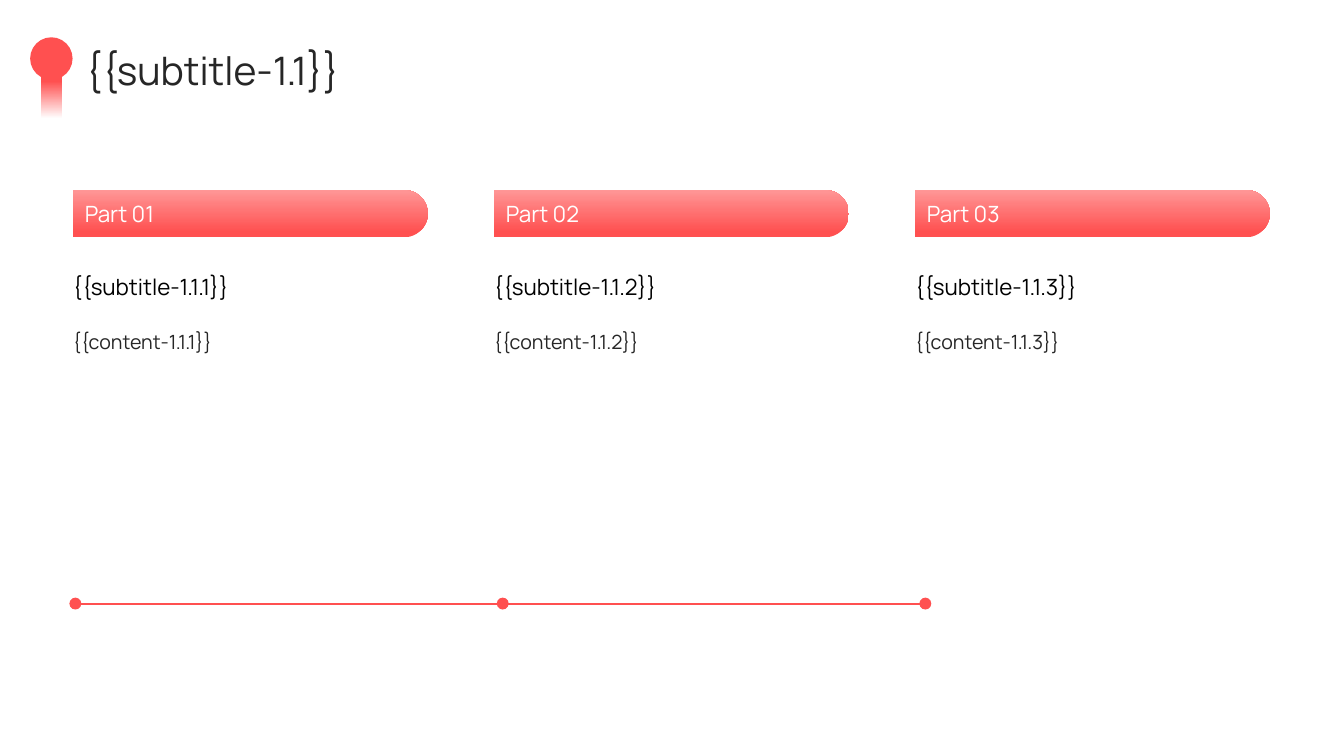
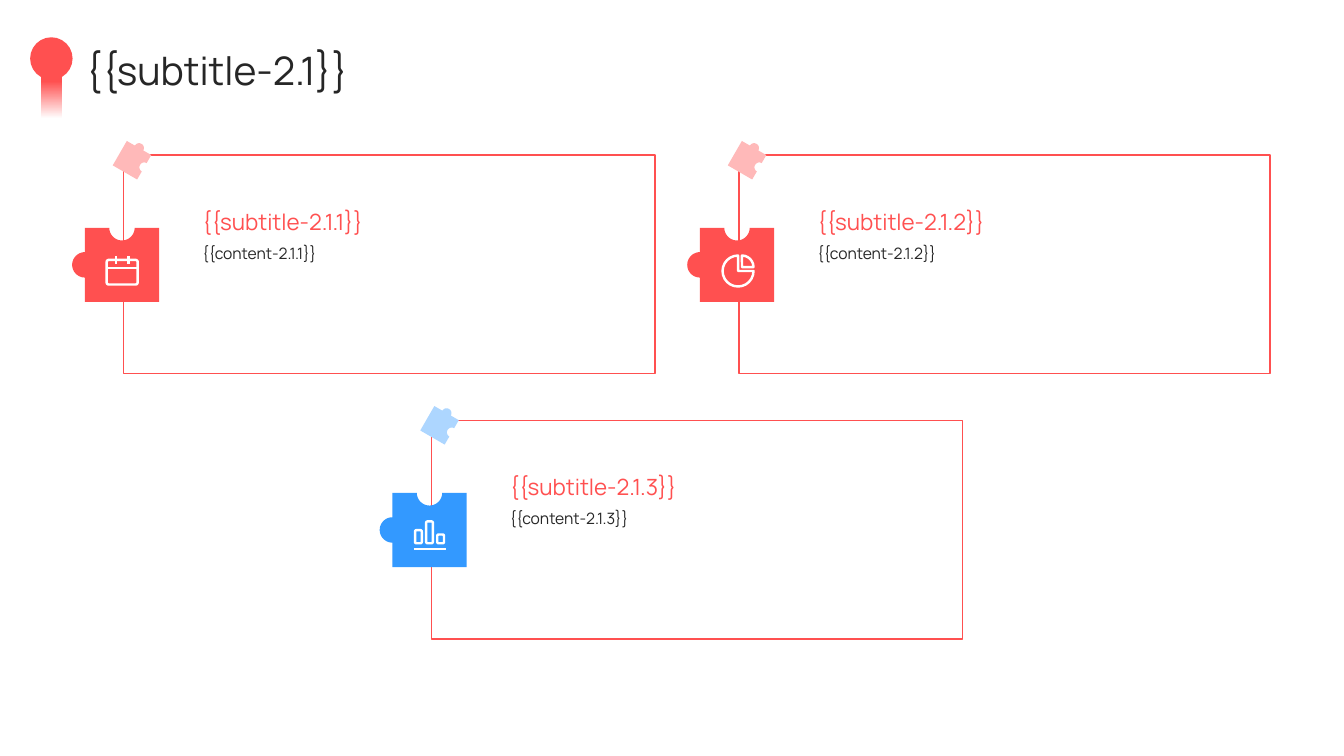
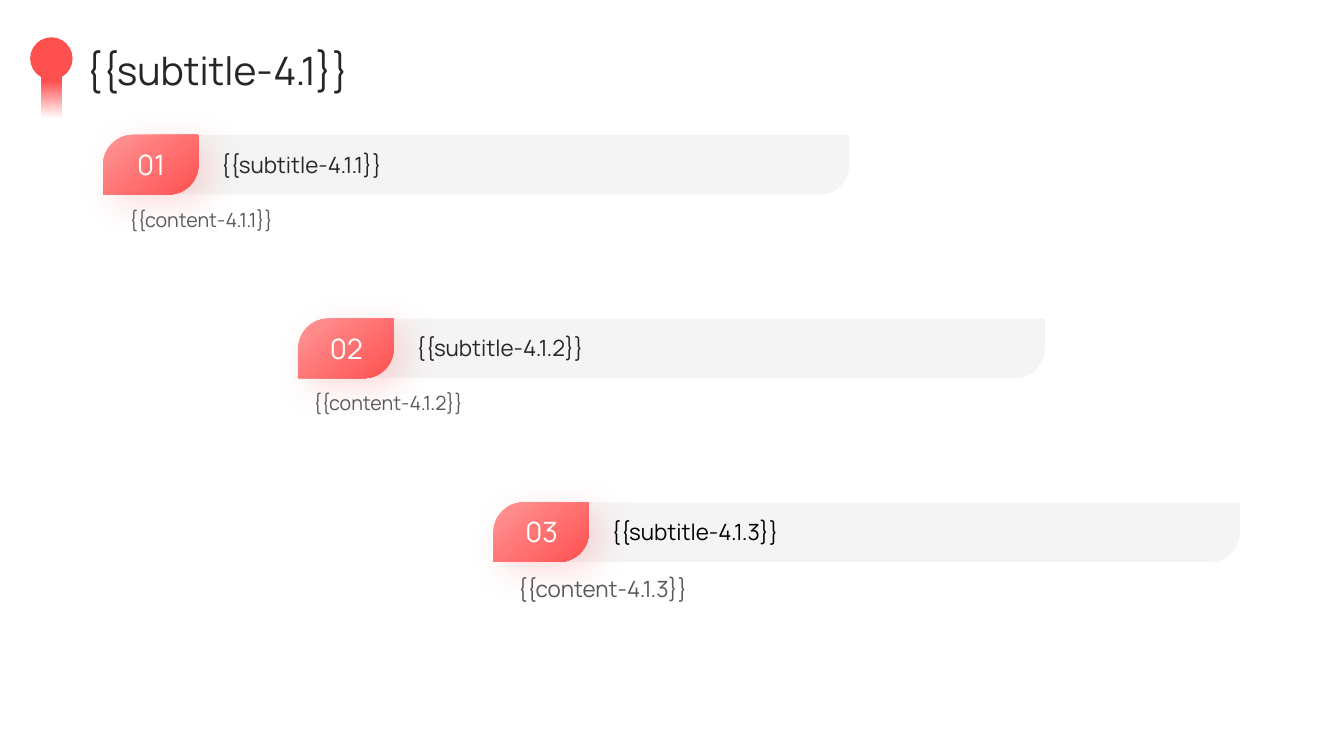
from dataclasses import dataclass
from math import cos, radians, sin

from lxml.etree import SubElement
from pptx import Presentation
from pptx.dml.color import RGBColor as RGB
from pptx.enum.shapes import MSO_CONNECTOR as LINK, MSO_SHAPE as KIND
from pptx.enum.text import MSO_ANCHOR as ANCHOR, MSO_AUTO_SIZE as FIT, PP_ALIGN as ALIGN
from pptx.oxml.ns import qn
from pptx.util import Cm, Pt


@dataclass(frozen=True)
class Theme:
    font: str = "Manrope"
    red: str = "FF5050"
    rose: str = "FF9696"
    pink: str = "FFB9B9"
    blue: str = "3399FF"
    sky: str = "ADD6FF"
    gray: str = "F2F2F2"
    white: str = "FFFFFF"
    black: str = "000000"
    dark: str = "262626"
    soft: str = "595959"
    title: float = 28
    number: float = 20
    head: float = 16
    body: float = 14
    small: float = 11.2
    stroke: float = 1.75


def put(item, **values):
    for name, value in values.items():
        setattr(item, name, value)


def arc(x, y, radius, start, end, steps=24):
    turns = [radians(start + (end - start) * i / steps) for i in range(steps + 1)]
    return [(x + radius * cos(t), y + radius * sin(t)) for t in turns]


class Deck:
    """Draws the shared style and each kind of element on the current slide."""

    def __init__(self, theme):
        self.theme = theme
        self.show = Presentation()
        put(self.show, slide_width=Cm(33.87), slide_height=Cm(19.05))

    def start(self, title):
        t = self.theme
        self.slide = self.show.slides.add_slide(self.show.slide_layouts[5])
        self.shapes = self.slide.shapes
        holder = self.shapes.title
        self.place(holder, (2.16, 1.12, 29.64, 1.3))
        self.label(holder.text_frame, title, t.title, t.dark)
        self.shape(KIND.RECTANGLE, (1.04, 1.42, 0.53, 1.57), (40, t.red, 100, t.white, 270))
        self.shape(KIND.OVAL, (0.76, 0.94, 1.07, 1.07), t.red)

    def place(self, item, box):
        put(item, **dict(zip(("left", "top", "width", "height"), map(Cm, box))))

    def label(self, frame, words, size, color, anchor=ANCHOR.MIDDLE, align=ALIGN.LEFT):
        put(frame, text=words, word_wrap=True, auto_size=FIT.NONE, vertical_anchor=anchor,
            margin_left=0, margin_right=0, margin_top=0, margin_bottom=0)
        line = frame.paragraphs[0]
        line.alignment = align
        font = line.runs[0].font
        put(font, name=self.theme.font, size=Pt(size))
        font.color.rgb = RGB.from_string(color)

    def text(self, words, box, size, color, **style):
        frame = self.shapes.add_textbox(*map(Cm, box)).text_frame
        self.label(frame, words, size, color, **style)

    def paint(self, item, fill, line=None, width=1):
        item.shadow.inherit = False
        if fill is None:
            item.fill.background()
        elif isinstance(fill, tuple):
            first, tint, last, shade, angle = fill
            item.fill.gradient()
            item.fill.gradient_angle = angle
            pairs = ((first, tint), (last, shade))
            for stop, (spot, color) in zip(item.fill.gradient_stops, pairs):
                stop.position = spot / 100
                stop.color.rgb = RGB.from_string(color)
        else:
            item.fill.solid()
            item.fill.fore_color.rgb = RGB.from_string(fill)
        if line:
            item.line.color.rgb = RGB.from_string(line)
            item.line.width = Pt(width)
        else:
            item.line.fill.background()

    def shape(self, kind, box, fill=None, line=None, width=1, turn=0, adjust=()):
        item = self.shapes.add_shape(kind, *map(Cm, box))
        for i, value in enumerate(adjust):
            item.adjustments[i] = value
        item.rotation = turn
        self.paint(item, fill, line, width)
        return item

    def link(self, x1, y1, x2, y2, color, width):
        item = self.shapes.add_connector(LINK.STRAIGHT, *map(Cm, (x1, y1, x2, y2)))
        item.line.color.rgb = RGB.from_string(color)
        item.line.width = Pt(width)
        SubElement(item._element.spPr, qn("a:effectLst"))

    def fade(self, item, percent):
        for color in item._element.spPr.iter(qn("a:srgbClr")):
            SubElement(color, qn("a:alpha"), val=str(percent * 1000))

    def glow(self, item, color):
        effects = item._element.spPr.find(qn("a:effectLst"))
        cast = SubElement(effects, qn("a:outerShdw"), blurRad=str(Pt(25)), dist=str(Pt(10)),
                          dir=str(40 * 60000), algn="ctr", rotWithShape="0")
        tint = SubElement(cast, qn("a:srgbClr"), val=color)
        SubElement(tint, qn("a:alpha"), val="20000")

    def banner(self, x, y, wide, high):
        t = self.theme
        box = (x + (wide - high) / 2, y - (wide - high) / 2, high, wide)
        self.shape(KIND.ROUND_2_SAME_RECTANGLE, box, (10, t.red, 100, t.rose, 180),
                   turn=90, adjust=(0.5, 0))

    def puzzle(self, x, y, color, scale=1, turn=0):
        left, right, side, knob = 0.32, 2.19, 1.87, 0.32
        points = [(left, 0), *arc((left + right) / 2, 0, knob, 180, 0),
                  (right, 0), (right, side), (left, side),
                  *arc(left, side / 2, knob, 90, 270)]
        spots = [(Cm(x + px * scale), Cm(y + py * scale)) for px, py in points]
        pen = self.shapes.build_freeform(*spots[0], scale=1.0)
        pen.add_line_segments(spots[1:], close=True)
        item = pen.convert_to_shape()
        item.rotation = turn
        self.paint(item, color)

    def trace(self, kind, box, **style):
        self.shape(kind, box, None, self.theme.white, self.theme.stroke, **style)

    def dash(self, *ends):
        self.link(*ends, self.theme.white, self.theme.stroke)

    def dates(self, x, y):
        self.trace(KIND.ROUNDED_RECTANGLE, (x - 0.43, y + 2.64, 0.78, 0.62), adjust=(0.08,))
        self.dash(x - 0.43, y + 2.84, x + 0.35, y + 2.84)
        for tick in (-0.2, 0.12):
            self.dash(x + tick, y + 2.54, x + tick, y + 2.74)

    def pie(self, x, y):
        self.trace(KIND.PIE, (x - 0.41, y + 2.53, 0.78, 0.78))
        self.trace(KIND.PIE, (x - 0.21, y + 2.53, 0.58, 0.58), adjust=(162, 0))

    def bars(self, x, y):
        for i, high in enumerate((0.33, 0.55, 0.22)):
            box = (x - 0.41 + 0.28 * i, y + 3.1 - high, 0.17, high)
            self.trace(KIND.ROUNDED_RECTANGLE, box, adjust=(0.2,))
        self.dash(x - 0.44, y + 3.25, x + 0.37, y + 3.25)

    def card(self, x, y, key, color, tint, icon):
        t = self.theme
        self.shape(KIND.RECTANGLE, (x, y, 13.39, 5.51), t.white, t.red)
        self.text(f"{{{{subtitle-{key}}}}}", (x + 1.98, y + 0.13, 11, 1.88), t.head, t.red,
                  anchor=ANCHOR.BOTTOM)
        self.text(f"{{{{content-{key}}}}}", (x + 1.98, y + 2.24, 11, 3.1), t.small, t.dark,
                  anchor=ANCHOR.TOP)
        self.puzzle(x - 1.3, y + 1.83, color)
        self.puzzle(x - 0.18, y - 0.28, tint, scale=0.38, turn=120)
        icon(x, y)

    def step(self, x, y, number, inset, size, color):
        t = self.theme
        kind, curve = KIND.ROUND_2_DIAG_RECTANGLE, (0.5, 0)
        back = self.shape(kind, (x + 0.8, y, 18.01, 1.5), t.gray, adjust=curve)
        self.fade(back, 80)
        tag = self.shape(kind, (x, y, 2.4, 1.5), (1, t.rose, 100, t.red, 310), adjust=curve)
        self.glow(tag, t.red)
        self.text(f"{{{{content-4.1.{number}}}}}", (x + inset, y + 1.83, 17.5, 2.31),
                  size, t.soft, anchor=ANCHOR.TOP)
        self.text(f"{{{{subtitle-4.1.{number}}}}}", (x + 2.97, y + 0.24, 15, 1), t.head, color)
        self.text(f"{number:02}", (x + 0.46, y + 0.24, 1.5, 1), t.number, t.white,
                  align=ALIGN.CENTER)


def parts(deck):
    t = deck.theme
    deck.start("{{subtitle-1.1}}")
    wide = 8.94
    for i in range(3):
        x, key = 1.84 + 10.61 * i, f"1.1.{i + 1}"
        deck.banner(x, 4.79, wide, 1.19)
        deck.text(f"Part {i + 1:02}", (x + 0.3, 4.98, 5.41, 0.79), t.head, t.white)
        deck.text(f"{{{{subtitle-{key}}}}}", (x, 6.22, wide, 2.01), t.head, t.black)
        deck.text(f"{{{{content-{key}}}}}", (x, 8.31, wide, 6.1), t.body, t.dark,
                  anchor=ANCHOR.TOP)
    dots, level, size = (1.9, 12.67, 23.32), 15.21, 0.3
    deck.link(dots[0], level, dots[-1], level, t.red, 1.5)
    for x in dots:
        deck.shape(KIND.OVAL, (x - size / 2, level - size / 2, size, size), t.red)


def cards(deck):
    t = deck.theme
    deck.start("{{subtitle-2.1}}")
    deck.card(3.12, 3.91, "2.1.1", t.red, t.pink, deck.dates)
    deck.card(18.62, 3.91, "2.1.2", t.red, t.pink, deck.pie)
    deck.card(10.87, 10.59, "2.1.3", t.blue, t.sky, deck.bars)


def steps(deck):
    t = deck.theme
    deck.start("{{subtitle-4.1}}")
    looks = ((0.66, t.body, t.dark), (0.38, t.body, t.dark), (0.61, t.head, t.black))
    for i, look in enumerate(looks):
        deck.step(2.6 + 4.92 * i, 3.4 + 4.63 * i, i + 1, *look)


def main():
    deck = Deck(Theme())
    for draw in (parts, cards, steps):
        draw(deck)
    deck.show.save("out.pptx")


if __name__ == "__main__":
    main()
